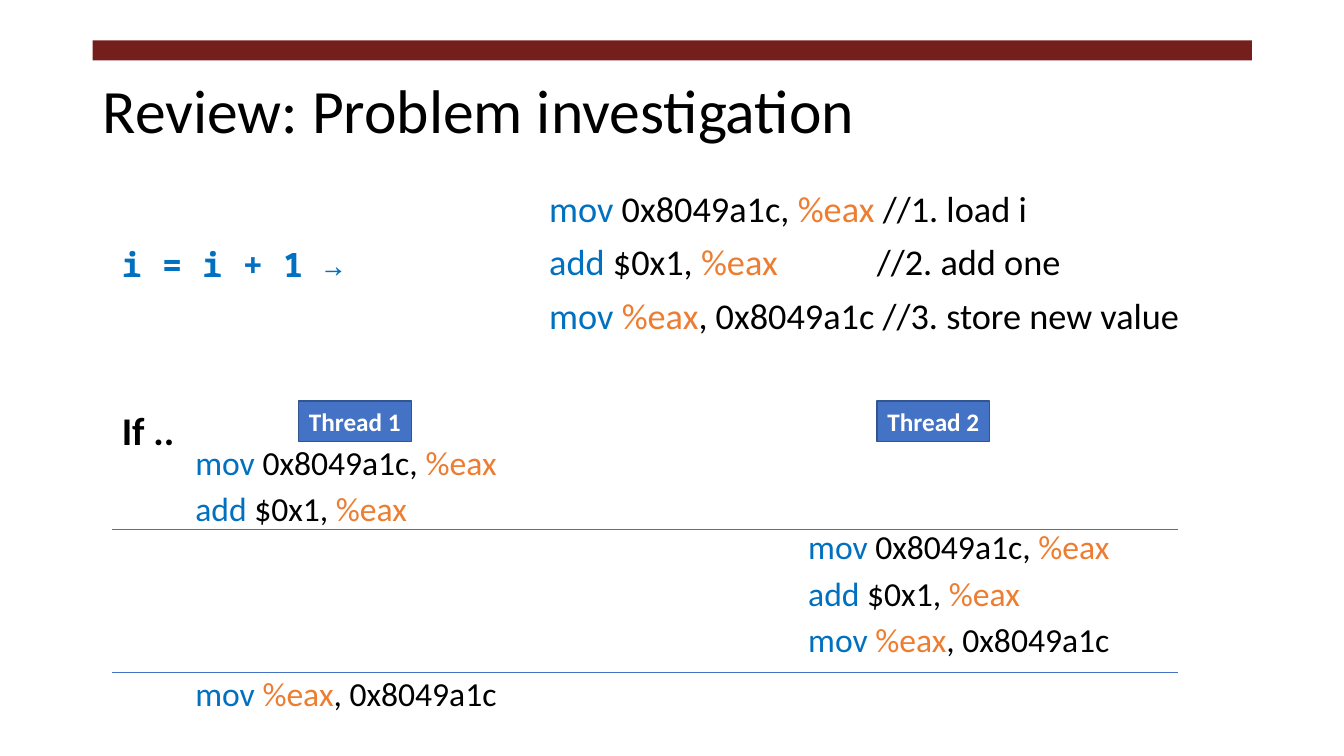
import pptx
import pptx.dml.color
import pptx.enum.shapes
import pptx.enum.text
import pptx.util
from lxml import etree

# Grid of 80 columns by 45 rows
WIDTH, HEIGHT = pptx.util.Inches(13.333), pptx.util.Inches(7.5)
COLS, ROWS = 80, 45
LEFT, RIGHT = 6.66, 70.14
BADGE_ROW = 23.88
SWITCH_ROWS = (31.5, 40.02)

BLACK, WHITE, MAROON = "000000", "FFFFFF", "751F1C"
BLUE, ORANGE = "0070C0", "ED7D31"
BADGE_FILL, BADGE_LINE = "4472C4", "325491"

REGISTER = "%eax"
LOAD, ADD, STORE = "mov 0x8049a1c, %eax", "add $0x1, %eax", "mov %eax, 0x8049a1c"


def color(value):
    return pptx.dml.color.RGBColor.from_string(value)


def x(cols):
    return round(WIDTH * cols / COLS)


def y(rows):
    return round(HEIGHT * rows / ROWS)


def add_run(p, text, size, fill, bold=False, font="Calibri"):
    r = p.add_run()
    r.text = text
    r.font.name = font
    r.font.size = pptx.util.Pt(size)
    r.font.bold = bold
    r.font.color.rgb = color(fill)


def add_box(s, left, top, width, height, wrap=True):
    tf = s.shapes.add_textbox(x(left), y(top), x(width), y(height)).text_frame
    tf.word_wrap = wrap
    return tf


def add_label(s, left, top, width, height, text, size, fill, **font):
    tf = add_box(s, left, top, width, height, wrap=False)
    add_run(tf.paragraphs[0], text, size, fill, **font)
    return tf


def add_rect(s, left, top, width, height, fill):
    sp = s.shapes.add_shape(pptx.enum.shapes.MSO_SHAPE.RECTANGLE,
                            x(left), y(top), x(width), y(height))
    sp.shadow.inherit = False
    sp.fill.solid()
    sp.fill.fore_color.rgb = color(fill)
    sp.line.fill.background()
    return sp


def add_badge(s, left, text):
    sp = add_rect(s, left, BADGE_ROW, 6.72, 2.4, BADGE_FILL)
    sp.line.color.rgb = color(BADGE_LINE)
    sp.line.width = pptx.util.Pt(1)
    tf = sp.text_frame
    tf.word_wrap = False
    p = tf.paragraphs[0]
    p.alignment = pptx.enum.text.PP_ALIGN.CENTER
    add_run(p, text, 18, WHITE, bold=True)


def add_switch(s, row):
    sp = s.shapes.add_connector(pptx.enum.shapes.MSO_CONNECTOR.STRAIGHT,
                                x(LEFT), y(row), x(RIGHT), y(row))
    sp.line.color.rgb = color(BADGE_FILL)
    sp.line.width = pptx.util.Pt(0.5)
    etree.SubElement(sp._element.spPr, pptx.oxml.ns.qn("a:effectLst"))


def add_tab_stop(p, cols):
    tabs = etree.SubElement(p._p.get_or_add_pPr(), pptx.oxml.ns.qn("a:tabLst"))
    etree.SubElement(tabs, pptx.oxml.ns.qn("a:tab"), pos=str(x(cols)), algn="l")


def add_code(s, left, top, width, height, lines, size, spacing, tab=None):
    """Opcode in blue, register in orange, the rest in black."""
    tf = add_box(s, left, top, width, height)
    for i, line in enumerate(lines):
        p = tf.add_paragraph() if i else tf.paragraphs[0]
        p.line_spacing = spacing
        p.space_before = pptx.util.Pt(10)
        if tab and "\t" in line:
            add_tab_stop(p, tab)
        opcode, rest = line.split(" ", 1)
        before, after = rest.split(REGISTER)
        add_run(p, opcode, size, BLUE)
        add_run(p, " " + before, size, BLACK)
        add_run(p, REGISTER, size, ORANGE)
        if after:
            add_run(p, after, size, BLACK)


def main():
    prs = pptx.Presentation()
    prs.slide_width, prs.slide_height = WIDTH, HEIGHT
    s = prs.slides.add_slide(prs.slide_layouts[6])

    # Heading
    add_rect(s, 5.52, 2.4, 69, 1.2, MAROON)
    tf = add_label(s, 5.52, 2.4, 69, 8.7, "Review: Problem investigation", 44, BLACK)
    tf.word_wrap = True
    tf.vertical_anchor = pptx.enum.text.MSO_ANCHOR.MIDDLE
    tf.paragraphs[0].line_spacing = 0.9

    # Statement and its three instructions
    add_label(s, LEFT, 14.22, 19.4, 3, "i = i + 1 →", 24, BLUE,
              bold=True, font="Noto Sans Mono")
    add_code(s, 32.1, 11.1, 39.3, 10.5,
             [LOAD + " //1. load i", ADD + "\t//2. add one",
              STORE + " //3. store new value"], 25.9, 0.9, tab=19.5)

    # Interleaving of the two threads
    add_label(s, LEFT, BADGE_ROW, 4.38, 3.4, "If ..", 28, BLACK, bold=True)
    for left, top, height, lines in ((11.04, 26.46, 5, [LOAD, ADD]),
                                     (47.52, 31.5, 8.7, [LOAD, ADD, STORE]),
                                     (11.04, 40.2, 3, [STORE])):
        add_code(s, left, top, 30, height, lines, 24, 0.8)
    for left, name in ((17.76, "Thread 1"), (52.2, "Thread 2")):
        add_badge(s, left, name)
    for row in SWITCH_ROWS:
        add_switch(s, row)

    prs.save("out.pptx")


if __name__ == "__main__":
    main()
